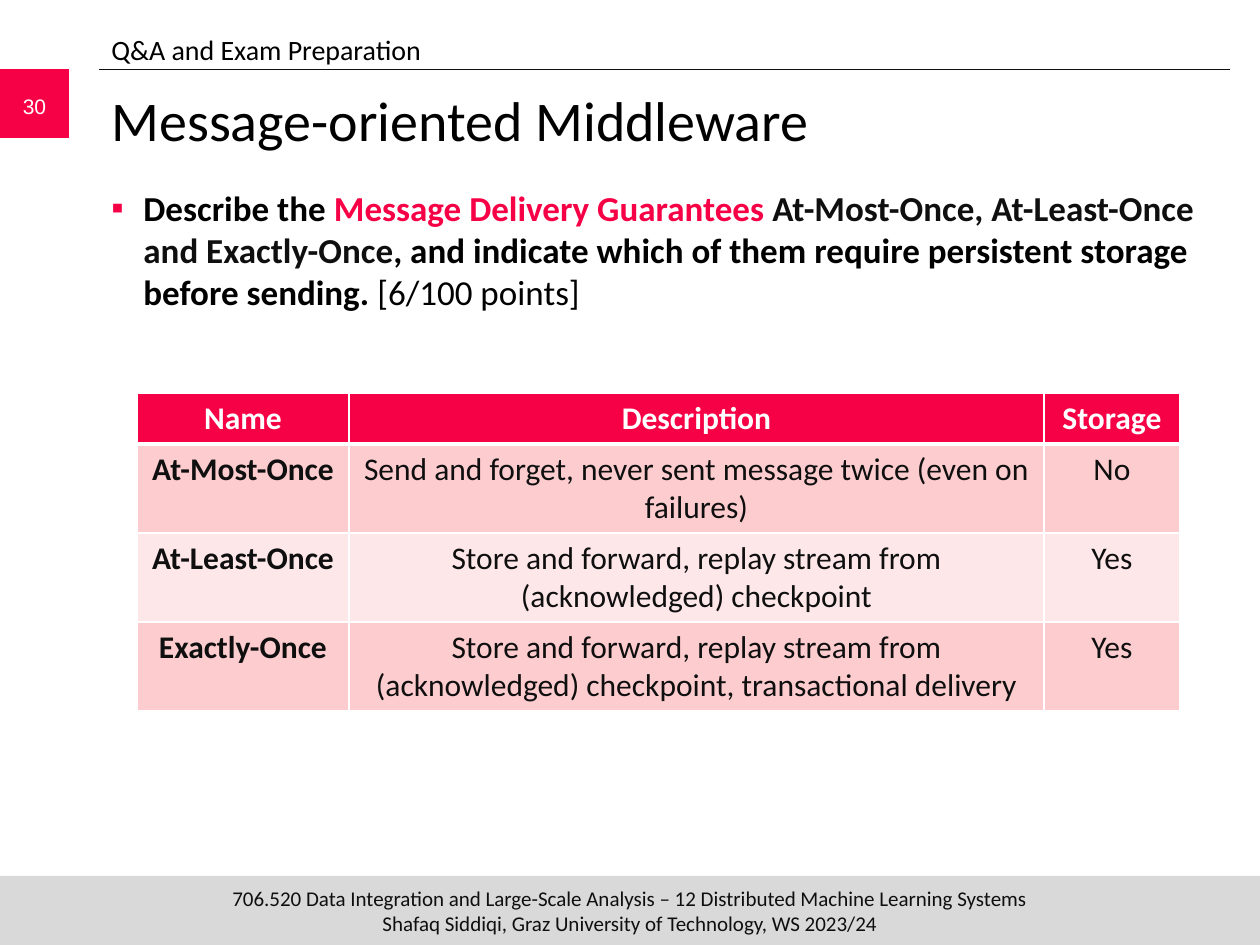
from lxml.etree import SubElement as Sub
from pptx import Presentation
from pptx.dml.color import RGBColor
from pptx.enum.shapes import MSO_CONNECTOR as Conn, MSO_SHAPE as Kind
from pptx.enum.text import MSO_ANCHOR as Anchor, PP_ALIGN as Align
from pptx.oxml.ns import qn
from pptx.util import Pt

PX = 914400 // 126
RED, INK, BLACK, WHITE, GREY = "F70146", "0F0F0F", "000000", "FFFFFF", "D9D9D9"
BANDS = ["FCCCCF", "FDE7E9"]

# Content: a run is (text, colour, bold)
HEAD = [("Q&A and Exam Preparation", BLACK, False)]
TITLE = [("Message-oriented Middleware", BLACK, False)]
TASK = [
    ("Describe the ", BLACK, True),
    ("Message Delivery Guarantees ", RED, True),
    ("At-Most-Once, At-Least-Once and Exactly-Once", INK, True),
    (", and indicate which of them require persistent storage before sending. ", BLACK, True),
    ("[6/100 points]", BLACK, False),
]
PAGE = [("30", WHITE, False)]
FOOT = [
    ("706.520 Data Integration and Large-Scale Analysis – 12 Distributed Machine Learning Systems", INK, False),
    ("\v", INK, False),
    ("Shafaq Siddiqi, Graz University of Technology, WS 2023/24", INK, False),
]
ROWS = [
    ("Name", "Description", "Storage"),
    ("At-Most-Once", "Send and forget, never sent message twice (even on failures)", "No"),
    ("At-Least-Once", "Store and forward, replay stream from (acknowledged) checkpoint", "Yes"),
    ("Exactly-Once", "Store and forward, replay stream from (acknowledged) checkpoint, "
     "transactional delivery", "Yes"),
]
COLS = [212, 695, 136]
TALL = [51, 89, 89, 89]


def rgb(code):
    return RGBColor.from_string(code)


def emu(*vals):
    return [v * PX for v in vals]


def write(para, runs, size, face="Calibri", align=Align.LEFT):
    para.alignment = align
    for text, color, bold in runs:
        if text == "\v":
            para.add_line_break()
            continue
        run = para.add_run()
        run.text = text
        font = run.font
        font.name, font.size, font.bold = face, Pt(size), bold
        font.color.rgb = rgb(color)


def block(box, color):
    shape = slide.shapes.add_shape(Kind.RECTANGLE, *emu(*box))
    shape.shadow.inherit = False
    shape.fill.solid()
    shape.fill.fore_color.rgb = rgb(color)
    shape.line.fill.background()


def label(box, runs, size, anchor=Anchor.TOP, pad=None, **look):
    frame = slide.shapes.add_textbox(*emu(*box)).text_frame
    frame.word_wrap = True
    frame.vertical_anchor = anchor
    if pad is not None:
        frame.margin_left = frame.margin_right = pad
        frame.margin_top = frame.margin_bottom = pad
    para = frame.paragraphs[0]
    write(para, runs, size, **look)
    return para


def bullet(para, mark, color, step):
    props = para._p.get_or_add_pPr()
    props.set("marL", str(step * PX))
    props.set("indent", str(-step * PX))
    Sub(Sub(props, qn("a:buClr")), qn("a:srgbClr"), val=color)
    Sub(props, qn("a:buFont"), typeface="Arial")
    Sub(props, qn("a:buChar"), char=mark)


def border(cell, under):
    props = cell._tc.get_or_add_tcPr()
    for at, (side, wide) in enumerate([("L", 1), ("R", 1), ("T", 1), ("B", under)]):
        edge = props.makeelement(qn("a:ln" + side), {"w": str(Pt(wide))})
        Sub(Sub(edge, qn("a:solidFill")), qn("a:srgbClr"), val=WHITE)
        props.insert(at, edge)


deck = Presentation()
deck.slide_width, deck.slide_height = emu(1260, 945)
slide = deck.slides.add_slide(deck.slide_layouts[6])

# Footer band, header rule, page number
foot = (0, 876, 1260, 69)
block(foot, GREY)
rule = slide.shapes.add_connector(Conn.STRAIGHT, *emu(99, 69, 1230, 69))
rule.line.color.rgb = rgb(INK)
rule.line.width = Pt(0.5)
Sub(rule._element.spPr, qn("a:effectLst"))
block((0, 69, 69, 69), RED)
label((0, 81, 69, 50), PAGE, 12, Anchor.MIDDLE, face="Arial", align=Align.CENTER)
label(foot, FOOT, 12, Anchor.MIDDLE, pad=0, align=Align.CENTER)

# Title, task and section name
label((99, 79, 1129, 105), TITLE, 32)
task = label((99, 180, 1129, 680), TASK, 20)
bullet(task, "▪", RED, 32)
label((99, 26, 1134, 45), HEAD, 16)

# Table of guarantees
grid = slide.shapes.add_table(len(ROWS), len(COLS),
                              *emu(137, 393, sum(COLS), sum(TALL))).table
for col, wide in zip(grid.columns, COLS):
    col.width = wide * PX
for r, (row, tall) in enumerate(zip(ROWS, TALL)):
    grid.rows[r].height = tall * PX
    top = r == 0
    for c, text in enumerate(row):
        cell = grid.cell(r, c)
        cell.fill.solid()
        cell.fill.fore_color.rgb = rgb(RED if top else BANDS[(r - 1) % 2])
        border(cell, 3 if top else 1)
        run = (text, WHITE if top else INK, top or c == 0)
        write(cell.text_frame.paragraphs[0], [run], 18, align=Align.CENTER)

deck.save("out.pptx")
